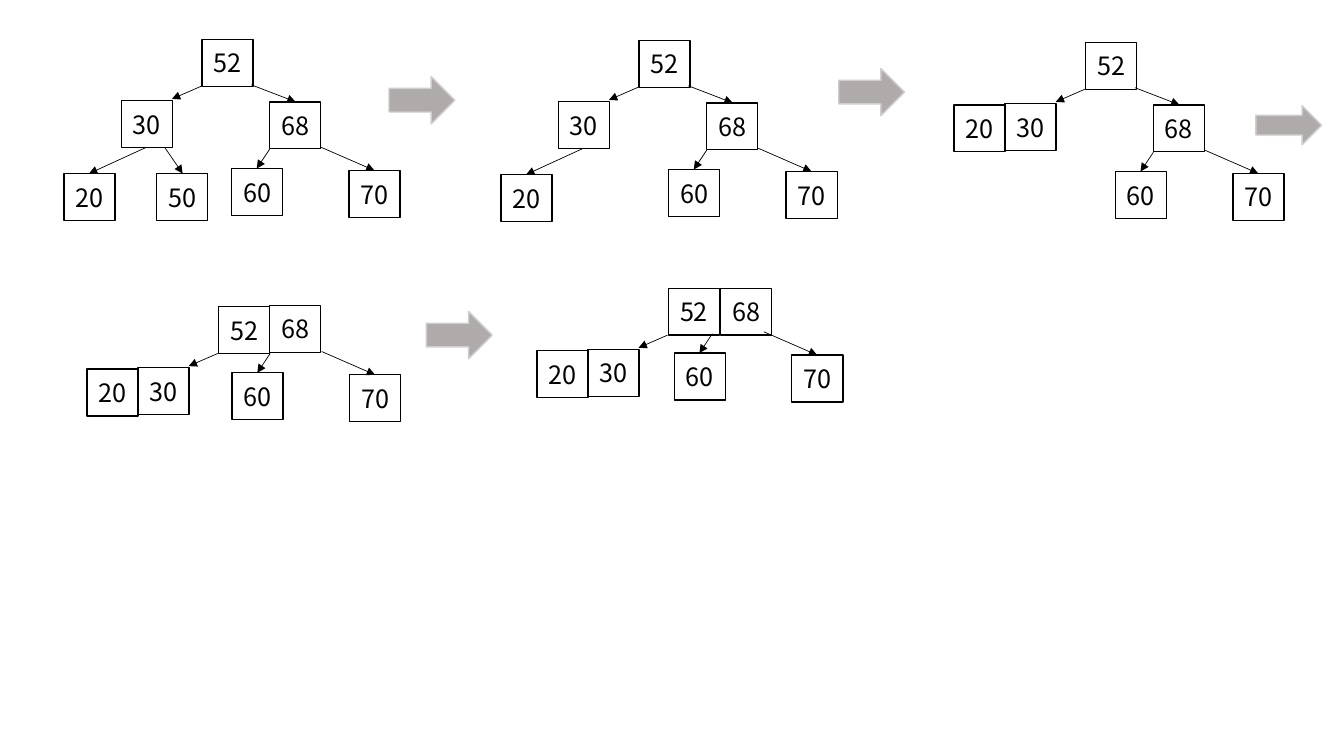
from lxml import etree
from pptx import Presentation
from pptx.dml.color import RGBColor
from pptx.enum.shapes import MSO_CONNECTOR, MSO_SHAPE
from pptx.enum.text import MSO_ANCHOR, PP_ALIGN
from pptx.oxml.ns import qn
from pptx.util import Pt

RECT, ARROW = MSO_SHAPE.RECTANGLE, MSO_SHAPE.RIGHT_ARROW
STRAIGHT = MSO_CONNECTOR.STRAIGHT
MIDDLE, CENTER = MSO_ANCHOR.MIDDLE, PP_ALIGN.CENTER
FONT = "Noto Sans CJK SC"
NODE_W, NODE_H = 36.5, 33.5

prs = Presentation()
prs.slide_width, prs.slide_height = Pt(960), Pt(540)
s = prs.slides.add_slide(prs.slide_layouts[6])


def color(value):
    return RGBColor.from_string(value)


def add_box(text, x, y, kind=RECT, w=NODE_W, h=NODE_H, fill="FFFFFF", line="000000", size=18):
    sp = s.shapes.add_shape(kind, Pt(x), Pt(y), Pt(w), Pt(h))
    sp.shadow.inherit = False
    sp.fill.solid()
    sp.fill.fore_color.rgb = color(fill)
    sp.line.color.rgb = color(line)
    sp.line.width = Pt(1)
    if text:
        tf = sp.text_frame
        tf.margin_left = tf.margin_right = tf.margin_top = tf.margin_bottom = 0
        tf.vertical_anchor = MIDDLE
        p = tf.paragraphs[0]
        p.alignment = CENTER
        r = p.add_run()
        r.text = text
        r.font.name, r.font.size = FONT, Pt(size)
        r.font.color.rgb = color("000000")


deep_20, side_20 = (-98.6, 95.8), (-94, 44.6)
child_68 = (48.4, 44.6)
to_30 = (-0.7, 33.5, -21.4, 42.5)
to_68 = (35.3, 32.4, 67, 44.6)
to_20 = (-39.6, 77, -80.6, 95.8)
to_50 = (-26.6, 77, -13.7, 95.8)

trees = [
    {"root": (144.2, 28.2), "20": deep_20, "50": (-32.4, 95.8), "68": child_68,
     "right": child_68, "edges": [to_30, to_68, to_20, to_50]},
    {"root": (456.4, 28.9), "20": deep_20, "68": child_68,
     "right": child_68, "edges": [to_30, to_68, to_20]},
    {"root": (775.5, 30.3), "20": side_20, "68": child_68,
     "right": child_68, "edges": [to_30, to_68]},
    {"root": (156.2, 219), "20": side_20, "68": (36.4, -0.8),
     "right": (36.8, -0.3), "edges": [to_30]},
    {"root": (477.5, 205.9), "20": side_20, "68": (37.2, 0),
     "right": (31.3, -1.3), "edges": [to_30]},
]

for tree in trees:
    x0, y0 = tree["root"]
    rx, ry = tree["right"]
    nodes = {"52": (0, 0), "30": (-57.6, 43.7), "60": (rx - 27.2, ry + 47.6),
             "70": (rx + 56.8, ry + 49)}
    nodes.update((key, tree[key]) for key in ("20", "50", "68") if key in tree)
    for key, (x, y) in nodes.items():
        add_box(key, x0 + x, y0 + y)

    right_edges = [(rx, ry + 33.8, rx - 9.2, ry + 47.6),
                   (rx + 36.8, ry + 32.4, rx + 74.9, ry + 49)]
    for x1, y1, x2, y2 in tree["edges"] + right_edges:
        edge = s.shapes.add_connector(STRAIGHT, Pt(x0 + x1), Pt(y0 + y1),
                                      Pt(x0 + x2), Pt(y0 + y2))
        edge.line.color.rgb = color("000000")
        edge.line.width = Pt(0.5)
        etree.SubElement(edge.line._get_or_add_ln(), qn("a:tailEnd"), type="triangle")
        etree.SubElement(edge._element.spPr, qn("a:effectLst"))

for x, y, h in [(304.6, 222.5, 33.8), (277.9, 54.7, 33.8), (599.1, 48.9, 33.8), (897.1, 75.5, 28)]:
    add_box("", x, y, kind=ARROW, w=47, h=h, fill="AFABAB", line="D0CECE")

prs.save("out.pptx")
